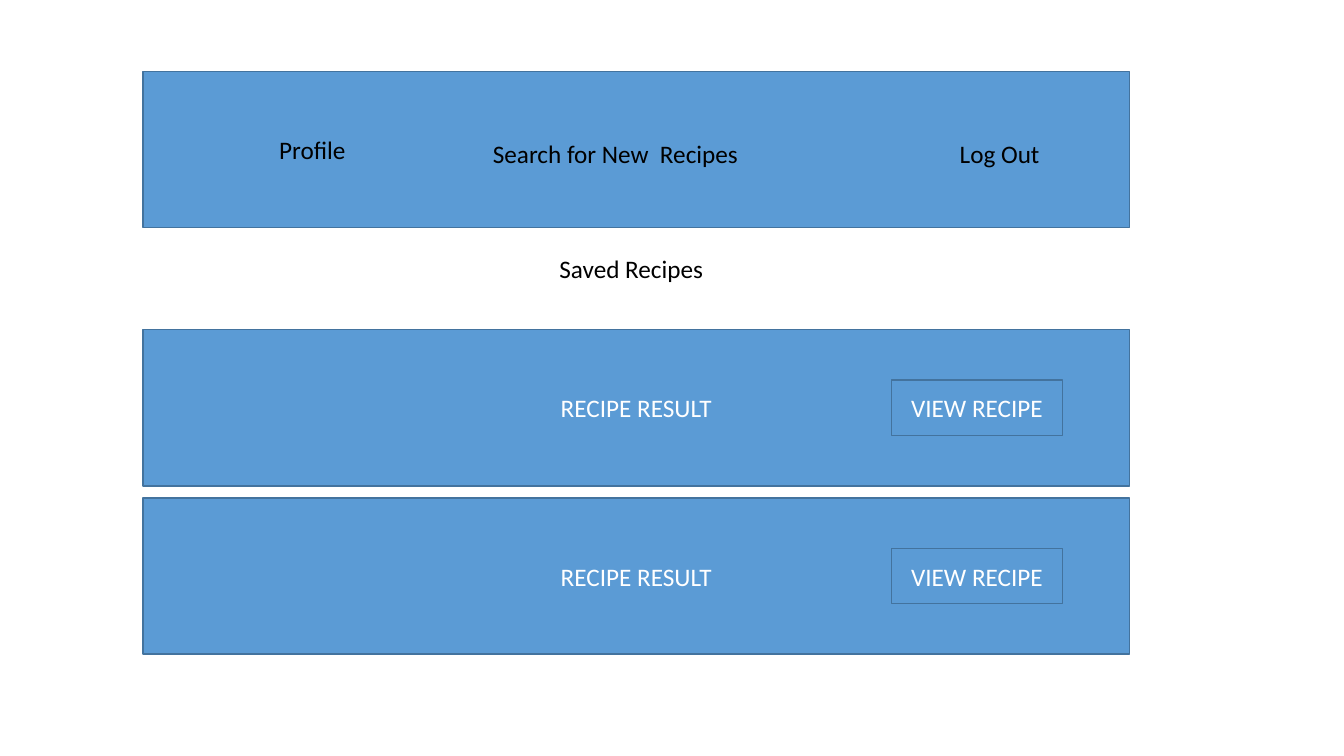
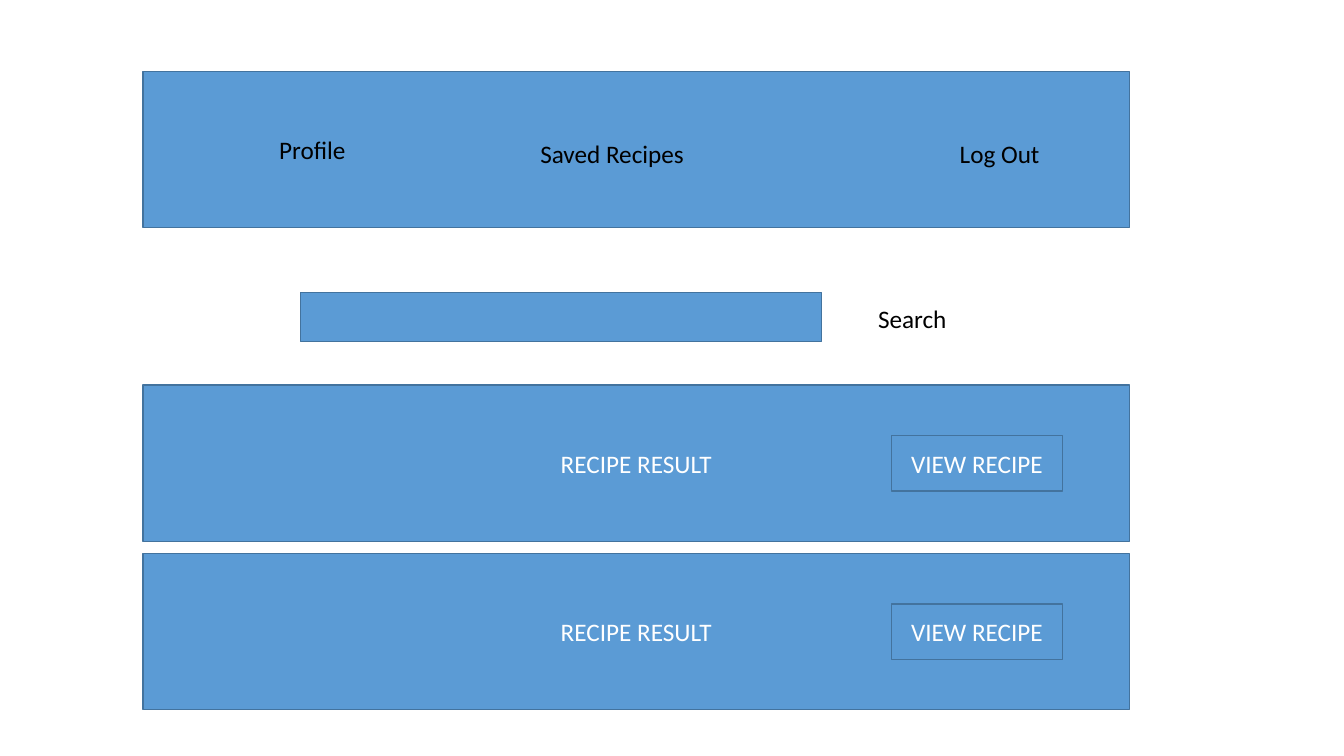
from dataclasses import dataclass

from pptx import Presentation
from pptx.dml.color import RGBColor
from pptx.enum.shapes import MSO_SHAPE
from pptx.enum.text import MSO_ANCHOR, MSO_AUTO_SIZE, PP_ALIGN
from pptx.util import Inches, Pt

RECT = MSO_SHAPE.RECTANGLE
MIDDLE, TOP = MSO_ANCHOR.MIDDLE, MSO_ANCHOR.TOP
CENTER, LEFT = PP_ALIGN.CENTER, PP_ALIGN.LEFT
GROW = MSO_AUTO_SIZE.SHAPE_TO_FIT_TEXT
BLANK = 6


@dataclass(frozen=True)
class Theme:
    fill: RGBColor = RGBColor(0x5B, 0x9B, 0xD5)
    edge: RGBColor = RGBColor(0x43, 0x73, 0x9E)
    dark: RGBColor = RGBColor(0, 0, 0)
    light: RGBColor = RGBColor(255, 255, 255)
    font: str = "Calibri"
    size: int = 18
    line: int = 1


class Deck:
    # Shared band: left edge, width, height, and step between results
    band_x, band_w, band_h, step = 1.42, 9.78, 1.55, 1.67

    def __init__(self, theme):
        self.theme = theme
        self.prs = Presentation()
        self.prs.slide_width = Inches(13.33)
        self.prs.slide_height = Inches(7.5)
        self.slide = None

    def page(self):
        layout = self.prs.slide_layouts[BLANK]
        self.slide = self.prs.slides.add_slide(layout)

    def text(self, frame, words, color, align, anchor):
        frame.word_wrap = True
        frame.vertical_anchor = anchor
        para = frame.paragraphs[0]
        para.alignment = align
        run = para.add_run()
        run.text = words
        style = {"name": self.theme.font, "size": Pt(self.theme.size)}
        for key, value in style.items():
            setattr(run.font, key, value)
        run.font.color.rgb = color

    def box(self, x, y, w, h, words=""):
        shape = self.slide.shapes.add_shape(
            RECT, Inches(x), Inches(y), Inches(w), Inches(h))
        shape.shadow.inherit = False
        shape.fill.solid()
        shape.fill.fore_color.rgb = self.theme.fill
        shape.line.color.rgb = self.theme.edge
        shape.line.width = Pt(self.theme.line)
        if words:
            self.text(shape.text_frame, words, self.theme.light,
                      CENTER, MIDDLE)

    def label(self, x, y, w, words):
        area = self.slide.shapes.add_textbox(
            Inches(x), Inches(y), Inches(w), Inches(0.4))
        self.text(area.text_frame, words, self.theme.dark, LEFT, TOP)
        area.text_frame.auto_size = GROW

    def band(self, y, words=""):
        self.box(self.band_x, y, self.band_w, self.band_h, words)

    def menu(self, x, w, words):
        self.band(0.71)
        self.label(2.67, 1.28, 1.08, "Profile")
        self.label(x, 1.32, w, words)
        self.label(9.42, 1.32, 1.08, "Log Out")

    def results(self, top, count=2):
        for i in range(count):
            y = top + i * self.step
            self.band(y, "RECIPE RESULT")
            self.box(8.84, y + 0.5, 1.7, 0.55, "VIEW RECIPE")


def main():
    deck = Deck(Theme())

    # Saved recipes page
    deck.page()
    deck.menu(4.79, 3.05, "Search for New  Recipes")
    deck.label(5.45, 2.46, 1.72, "Saved Recipes")
    deck.results(3.27)

    # Search page
    deck.page()
    deck.menu(5.26, 2.11, "Saved Recipes")
    deck.box(2.98, 2.9, 5.17, 0.49)
    deck.label(8.61, 2.96, 1.08, "Search")
    deck.results(3.82)

    deck.prs.save("out.pptx")


if __name__ == "__main__":
    main()
